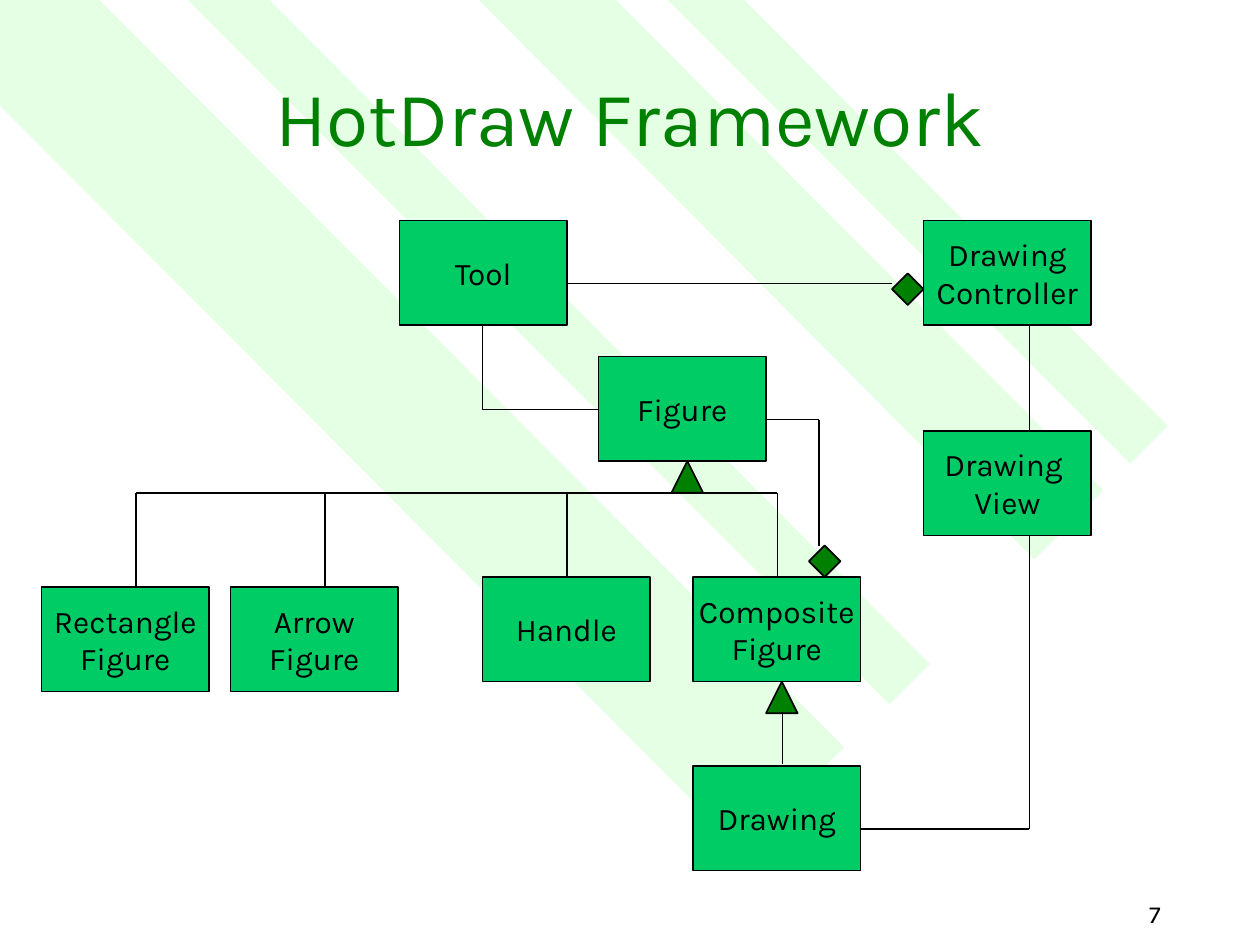
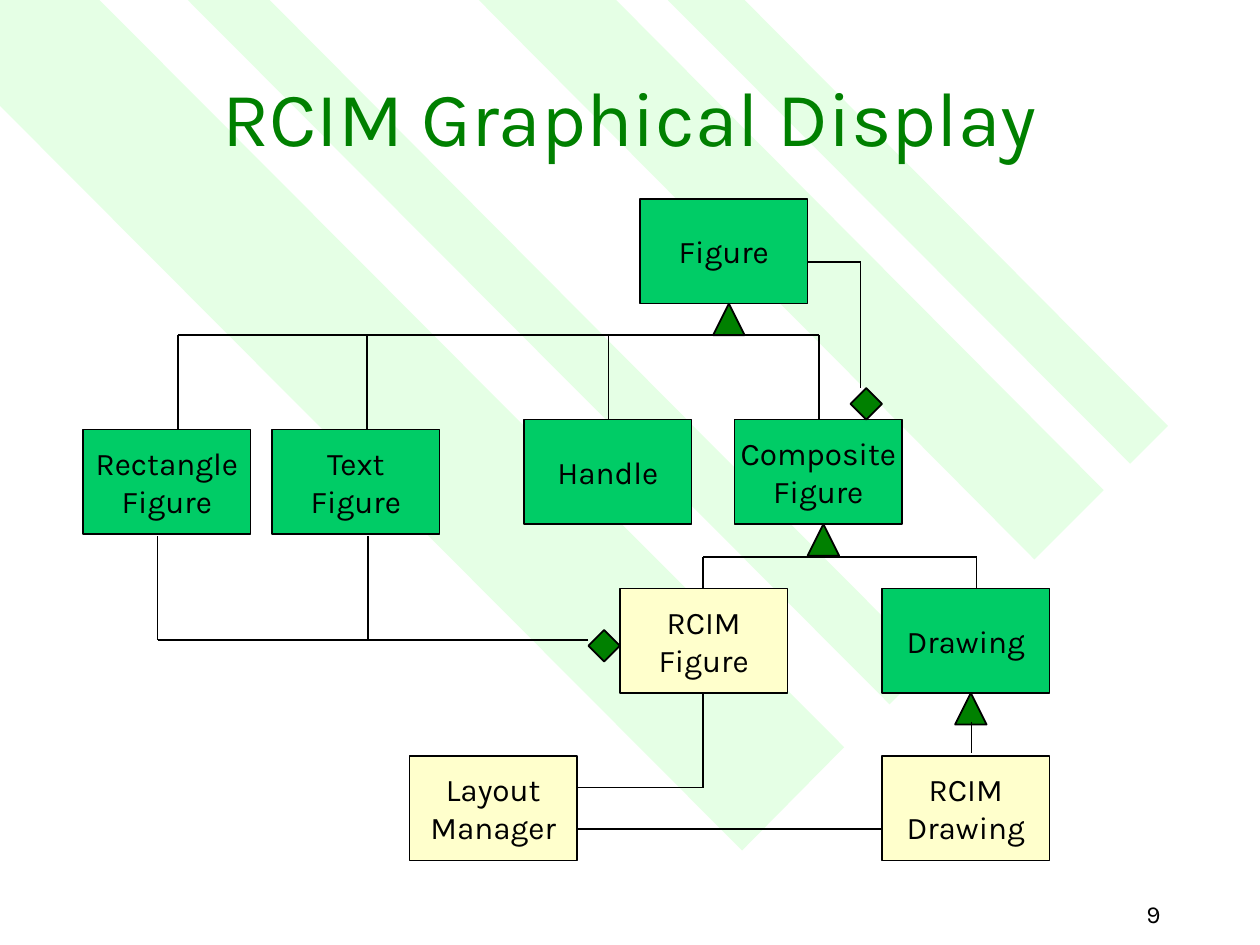
from dataclasses import dataclass

from lxml import etree
from pptx import Presentation
from pptx.dml.color import RGBColor
from pptx.enum.shapes import MSO_CONNECTOR, MSO_SHAPE
from pptx.enum.text import MSO_ANCHOR, PP_ALIGN
from pptx.oxml.ns import qn
from pptx.util import Inches, Pt

RECT = MSO_SHAPE.RECTANGLE
ARROW = MSO_SHAPE.ISOSCELES_TRIANGLE
DIAMOND = MSO_SHAPE.DIAMOND
STRAIGHT = MSO_CONNECTOR.STRAIGHT
MIDDLE = MSO_ANCHOR.MIDDLE
CENTER, RIGHT = PP_ALIGN.CENTER, PP_ALIGN.RIGHT


@dataclass(frozen=True)
class Theme:
    """Colours, font, type sizes and shared measures."""
    font: str = "Karla"
    ink: str = "000000"
    dark: str = "008000"
    green: str = "00CC66"
    cream: str = "FFFFCC"
    stripe: str = "CCFFCC"
    title: int = 44
    label: int = 18
    number: int = 14
    line: int = 1
    width: float = 1.33
    height: float = 0.83
    mark: float = 0.25


THEME = Theme()
STRIPES = (
    ((6.7, 5.93), (0.79, 0), (0, 0), (0, 0.84), (5.89, 6.75)),
    ((2.14, 0), (7.38, 5.27), (7.06, 5.59), (1.49, 0)),
    ((4.89, 0), (8.76, 3.89), (8.21, 4.44), (3.8, 0)),
    ((5.3, 0), (8.97, 3.68), (9.27, 3.38), (5.91, 0)),
)


def color(code):
    """Turn a hex code into a colour."""
    return RGBColor.from_string(code)


def write(shape, text, size=THEME.label, ink=THEME.ink, align=CENTER, wrap=False):
    """Write each line of text as one paragraph."""
    frame = shape.text_frame
    frame.word_wrap = wrap
    frame.vertical_anchor = MIDDLE
    frame.text = text
    for para in frame.paragraphs:
        para.alignment = align
        para.font.name = THEME.font
        para.font.size = Pt(size)
        para.font.color.rgb = color(ink)


def add_text(slide, text, x, y, width, height, **style):
    """Add a wrapping text box."""
    shape = slide.shapes.add_textbox(*map(Inches, (x, y, width, height)))
    write(shape, text, wrap=True, **style)


def add_form(slide, kind, x, y, width, height, fill):
    """Add a filled preset shape with a thin outline."""
    shape = slide.shapes.add_shape(kind, *map(Inches, (x, y, width, height)))
    shape.shadow.inherit = False
    shape.fill.solid()
    shape.fill.fore_color.rgb = color(fill)
    shape.line.color.rgb = color(THEME.ink)
    shape.line.width = Pt(THEME.line)
    return shape


def add_class(slide, text, x, y, fill=THEME.green):
    """Add a class box."""
    write(add_form(slide, RECT, x, y, THEME.width, THEME.height, fill), text)


def add_mark(slide, kind, x, y):
    """Add an end mark: a triangle or a diamond."""
    add_form(slide, kind, x, y, THEME.mark, THEME.mark, THEME.dark)


def add_link(slide, *points):
    """Join points in turn with straight connectors."""
    for start, end in zip(points, points[1:]):
        link = slide.shapes.add_connector(STRAIGHT, *map(Inches, start + end))
        link.line.color.rgb = color(THEME.ink)
        link.line.width = Pt(THEME.line)
        etree.SubElement(link._element.spPr, qn("a:effectLst"))


def add_stripe(slide, points):
    """Add a half-clear diagonal stripe."""
    first, *rest = [tuple(map(Inches, point)) for point in points]
    maker = slide.shapes.build_freeform(*first)
    maker.add_line_segments(rest, close=True)
    shape = maker.convert_to_shape()
    shape.shadow.inherit = False
    shape.line.fill.background()
    shape.fill.solid()
    shape.fill.fore_color.rgb = color(THEME.stripe)
    tint = shape._element.spPr.find(f"{qn('a:solidFill')}/{qn('a:srgbClr')}")
    etree.SubElement(tint, qn("a:alpha"), val="50000")


def add_page(deck, title, number):
    """Add a slide with stripes, title and number."""
    slide = deck.slides.add_slide(deck.slide_layouts[6])
    for points in STRIPES:
        add_stripe(slide, points)
    add_text(slide, title, 0.75, 0.25, 8.5, 1.33, size=THEME.title, ink=THEME.dark)
    add_text(slide, number, 7.23, 7, 2.08, 0.5, size=THEME.number, align=RIGHT)
    return slide


def add_tree(slide, x, y, second):
    """Add Figure at x, y with its subclasses below."""
    add_class(slide, "Figure", x, y)
    children = (
        ("Rectangle\nFigure", -4.42, 1.83, -3.67),
        (second, -2.92, 1.83, -2.17),
        ("Handle", -0.92, 1.75, -0.25),
        ("Composite\nFigure", 0.75, 1.75, 1.42),
    )
    add_mark(slide, ARROW, x + 0.58, y + 0.83)
    add_mark(slide, ARROW, x + 1.33, y + 2.58)
    bus = y + 1.08
    add_link(slide, (x - 3.67, bus), (x + 1.42, bus))
    for text, left, top, stem in children:
        add_class(slide, text, x + left, y + top)
        add_link(slide, (x + stem, bus), (x + stem, y + top))
    add_mark(slide, DIAMOND, x + 1.67, y + 1.5)
    add_link(slide, (x + 1.75, y + 1.5), (x + 1.75, y + 0.5), (x + 1.33, y + 0.5))


def add_frame(deck):
    """Build the framework slide."""
    slide = add_page(deck, "HotDraw Framework", "7")
    add_tree(slide, 4.75, 2.83, "Arrow\nFigure")
    add_class(slide, "Tool", 3.17, 1.75)
    add_class(slide, "Drawing\nController", 7.33, 1.75)
    add_class(slide, "Drawing \nView", 7.33, 3.42)
    add_class(slide, "Drawing", 5.5, 6.08)
    add_link(slide, (6.21, 5.65), (6.21, 6.06))
    add_link(slide, (6.83, 6.58), (8.17, 6.58), (8.17, 4.25))
    add_link(slide, (8.17, 3.42), (8.17, 2.58))
    add_mark(slide, DIAMOND, 7.08, 2.17)
    add_link(slide, (7.08, 2.25), (4.5, 2.25))
    add_link(slide, (3.83, 2.58), (3.83, 3.25), (4.75, 3.25))


def add_display(deck):
    """Build the graphical display slide."""
    slide = add_page(deck, "RCIM Graphical Display", "9")
    add_tree(slide, 5.08, 1.58, "Text\nFigure")
    add_class(slide, "Drawing", 7, 4.67)
    add_class(slide, "RCIM\nDrawing", 7, 6, THEME.cream)
    add_class(slide, "RCIM\nFigure", 4.92, 4.67, THEME.cream)
    add_class(slide, "Layout\nManager", 3.25, 6, THEME.cream)
    add_mark(slide, DIAMOND, 4.67, 5)
    add_link(slide, (4.67, 5.08), (1.25, 5.08), (1.25, 4.25))
    add_link(slide, (2.92, 5.08), (2.92, 4.25))
    add_link(slide, (5.58, 4.67), (5.58, 4.42), (7.75, 4.42), (7.75, 4.67))
    add_mark(slide, ARROW, 7.58, 5.5)
    add_link(slide, (7.71, 5.73), (7.71, 5.98))
    add_link(slide, (4.58, 6.58), (7, 6.58))
    add_link(slide, (4.58, 6.25), (5.58, 6.25), (5.58, 5.5))


def main():
    """Build and save the deck."""
    deck = Presentation()
    deck.slide_width, deck.slide_height = Inches(10), Inches(7.5)
    add_frame(deck)
    add_display(deck)
    deck.save("out.pptx")


if __name__ == "__main__":
    main()
